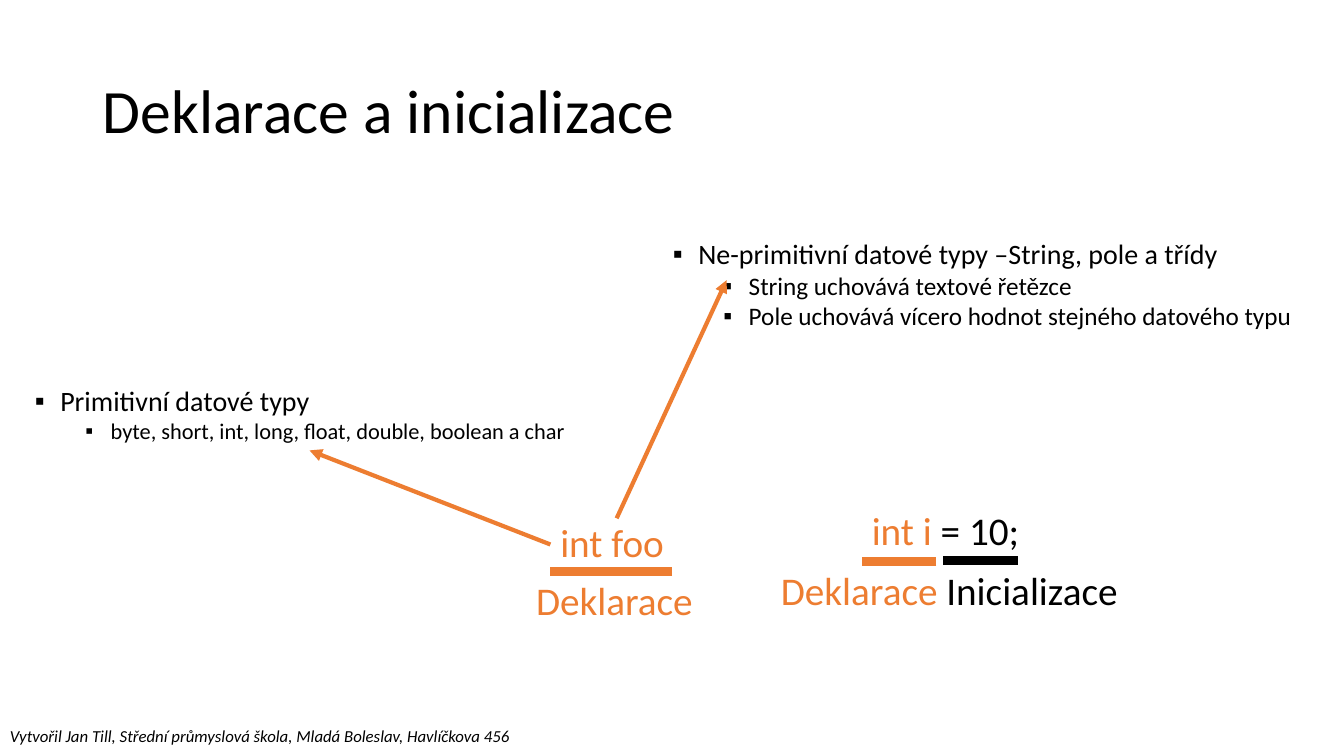
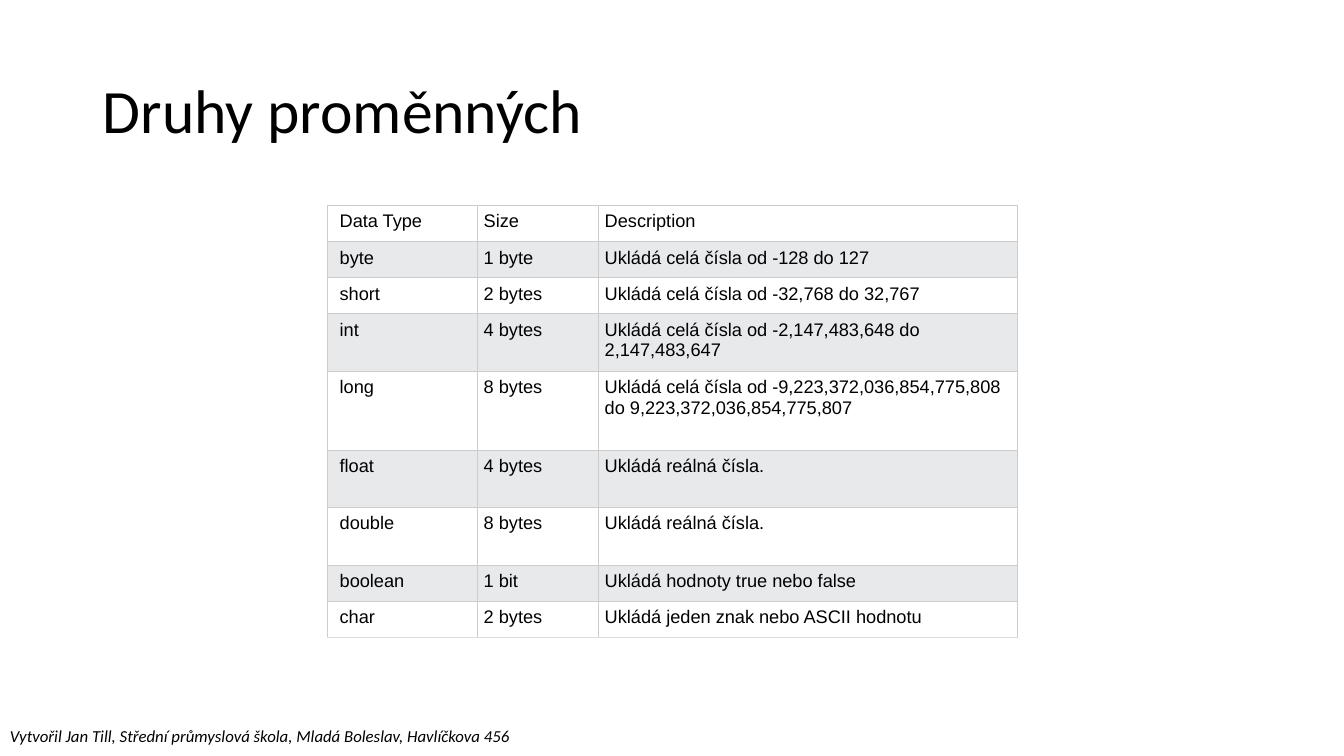
from dataclasses import dataclass

from pptx import Presentation as Deck
from pptx.dml.color import RGBColor as Rgb
from pptx.enum.shapes import MSO_CONNECTOR as Link
from pptx.enum.text import MSO_ANCHOR as Anchor
from pptx.enum.text import MSO_AUTO_SIZE as Fit
from pptx.enum.text import PP_ALIGN as Align
from pptx.oxml import parse_xml
from pptx.oxml.ns import nsdecls
from pptx.util import Cm, Pt


# Theme: colours, fonts and type sizes
@dataclass(frozen=True)
class Theme:
    ink: str = "000000"
    accent: str = "ED7D31"
    band: str = "E7E9EB"
    grid: str = "CCCCCC"
    base: str = "DDDDDD"
    font: str = "Calibri"
    grid_font: str = "Arial"
    title: int = 44
    code: int = 28
    head: int = 20
    item: int = 18
    small: int = 16
    cell: int = 13
    foot: int = 12


T = Theme()
FOOT = "Vytvořil Jan Till, Střední průmyslová škola, Mladá Boleslav, Havlíčkova 456"

TYPES = [
    ("Data Type", "Size", "Description"),
    ("byte", "1 byte", "Ukládá celá čísla od -128 do 127"),
    ("short", "2 bytes", "Ukládá celá čísla od -32,768 do 32,767"),
    ("int", "4 bytes", "Ukládá celá čísla od -2,147,483,648 do 2,147,483,647"),
    ("long", "8 bytes", "Ukládá celá čísla od -9,223,372,036,854,775,808 "
                        "do 9,223,372,036,854,775,807"),
    ("float", "4 bytes", "Ukládá reálná čísla."),
    ("double", "8 bytes", "Ukládá reálná čísla."),
    ("boolean", "1 bit", "Ukládá hodnoty true nebo false"),
    ("char", "2 bytes", "Ukládá jeden znak nebo ASCII hodnotu"),
]
COLS = (3.78, 3.05, 10.54)
ROWS = (0.91, 0.91, 0.91, 1.45, 1.98, 1.45, 1.45, 0.91, 0.91)


# Helpers
def put(thing, **values):
    for name, value in values.items():
        setattr(thing, name, value)


def write(para, text, size, color=T.ink, font=T.font, **more):
    run = para.add_run()
    run.text = text
    put(run.font, name=font, size=Pt(size), **more)
    run.font.color.rgb = Rgb.from_string(color)


def add_box(slide, x, y, w, h, **frame):
    text = slide.shapes.add_textbox(Cm(x), Cm(y), Cm(w), Cm(h)).text_frame
    put(text, **{"word_wrap": True, "auto_size": Fit.NONE, **frame})
    return text


# Slide with title and footer
def add_slide(deck, title):
    slide = deck.slides.add_slide(deck.slide_layouts[5])
    head = slide.shapes.title
    put(head, left=Cm(2.34), top=Cm(1.02), width=Cm(29.21), height=Cm(3.68))
    put(head.text_frame, vertical_anchor=Anchor.MIDDLE, auto_size=Fit.NONE)
    para = head.text_frame.paragraphs[0]
    put(para, alignment=Align.LEFT, line_spacing=0.9)
    write(para, title, T.title)
    add_label(slide, 0, 18.16, 13.23, 0.77, FOOT, T.foot, italic=True)
    return slide


# Single line of text that sizes its own box
def add_label(slide, x, y, w, h, text, size, color=T.ink, **more):
    frame = add_box(slide, x, y, w, h, word_wrap=False,
                    auto_size=Fit.SHAPE_TO_FIT_TEXT)
    write(frame.paragraphs[0], text, size, color, **more)


# Code line made of coloured parts
def add_code(slide, x, y, *parts):
    para = add_box(slide, x, y, 4.45, 1.37).paragraphs[0]
    para.line_spacing = 0.9
    for text, color in parts:
        write(para, text, T.code, color)


# Bulleted list: the first line is the head, the rest sit one level lower
def add_list(slide, x, y, w, h, head, size, *items):
    frame = add_box(slide, x, y, w, h)
    lines = [(head, T.head, 0)] + [(item, size, 1) for item in items]
    for i, (text, size, level) in enumerate(lines):
        para = frame.add_paragraph() if i else frame.paragraphs[0]
        para.level = level
        props = para._p.get_or_add_pPr()
        props.set("marL", str(Cm(1.27 * (level + 1))))
        props.set("indent", str(-Cm(0.64)))
        for tag in ('buFont typeface="Arial"', 'buChar char="▪"'):
            name, rest = tag.split(" ", 1)
            props.append(parse_xml(f"<a:{name} {nsdecls('a')} {rest}/>"))
        write(para, text, size)


# Straight line, with an arrowhead at its end if asked
def add_line(slide, start, end, color, width, arrow=False):
    ends = [Cm(value) for value in (*start, *end)]
    link = slide.shapes.add_connector(Link.STRAIGHT, *ends)
    link.line.color.rgb = Rgb.from_string(color)
    link.line.width = Pt(width)
    if arrow:
        link.line._get_or_add_ln().append(
            parse_xml(f'<a:tailEnd {nsdecls("a")} type="triangle"/>'))
    link._element.spPr.append(parse_xml(f"<a:effectLst {nsdecls('a')}/>"))


def add_bar(slide, x, y, length, color):
    add_line(slide, (x + length, y), (x, y), color, 6)


# Table with thin borders and every second row shaded
def edge(cell, last):
    props = cell._tc.get_or_add_tcPr()
    for side in "LRTB":
        color = T.base if last and side == "B" else T.grid
        props.append(parse_xml(
            f'<a:ln{side} {nsdecls("a")} w="{Pt(0.75)}"><a:solidFill>'
            f'<a:srgbClr val="{color}"/></a:solidFill></a:ln{side}>'))


def add_grid(slide, x, y, rows):
    grid = slide.shapes.add_table(len(rows), len(COLS), Cm(x), Cm(y),
                                  Cm(sum(COLS)), Cm(sum(ROWS))).table
    put(grid, first_row=False, horz_banding=False)
    for col, width in zip(grid.columns, COLS):
        col.width = Cm(width)
    for row, height in zip(grid.rows, ROWS):
        row.height = Cm(height)
    pad = Cm(0.15)
    for r, row in enumerate(rows):
        for c, text in enumerate(row):
            cell = grid.cell(r, c)
            put(cell, margin_left=pad if c else Cm(0.3), margin_right=pad,
                margin_top=pad, margin_bottom=pad)
            edge(cell, r == len(rows) - 1)
            if r % 2:
                cell.fill.solid()
                cell.fill.fore_color.rgb = Rgb.from_string(T.band)
            else:
                cell.fill.background()
            write(cell.text_frame.paragraphs[0], text, T.cell,
                  font=T.grid_font)


# Slides
def draw_terms(deck):
    slide = add_slide(deck, "Deklarace a inicializace")
    # Declaration with a start value
    add_code(slide, 21.72, 12.78, ("int i ", T.accent), ("= 10;", T.ink))
    add_bar(slide, 21.72, 14.15, 1.88, T.accent)
    add_label(slide, 19.43, 14.15, 4.5, 1.45, "Deklarace", T.code, T.accent)
    add_bar(slide, 23.77, 14.12, 1.88, T.ink)
    add_label(slide, 23.6, 14.15, 4.88, 1.45, "Inicializace", T.code)
    # Plain declaration
    add_code(slide, 13.87, 13.06, ("int foo", T.accent))
    add_bar(slide, 13.87, 14.4, 3.07, T.accent)
    add_label(slide, 13.26, 14.4, 4.5, 1.45, "Deklarace", T.code, T.accent)
    # Kinds of types and arrows to them
    add_list(slide, 0, 9.55, 14.94, 2.57, "Primitivní datové typy", T.small,
             "byte, short, int, long, float, double, boolean a char")
    add_list(slide, 16.08, 5.84, 16.94, 4.19,
             "Ne-primitivní datové typy –String, pole a třídy", T.item,
             "String uchovává textové řetězce",
             "Pole uchovává vícero hodnot stejného datového typu")
    add_line(slide, (13.87, 13.72), (7.8, 11.35), T.accent, 3, arrow=True)
    add_line(slide, (15.54, 13.06), (18.31, 7.06), T.accent, 3, arrow=True)


def draw_types(deck):
    slide = add_slide(deck, "Druhy proměnných")
    add_grid(slide, 8.26, 5.18, TYPES)


def main():
    deck = Deck()
    put(deck, slide_width=Cm(33.87), slide_height=Cm(19.05))
    draw_terms(deck)
    draw_types(deck)
    deck.save("out.pptx")


main()
